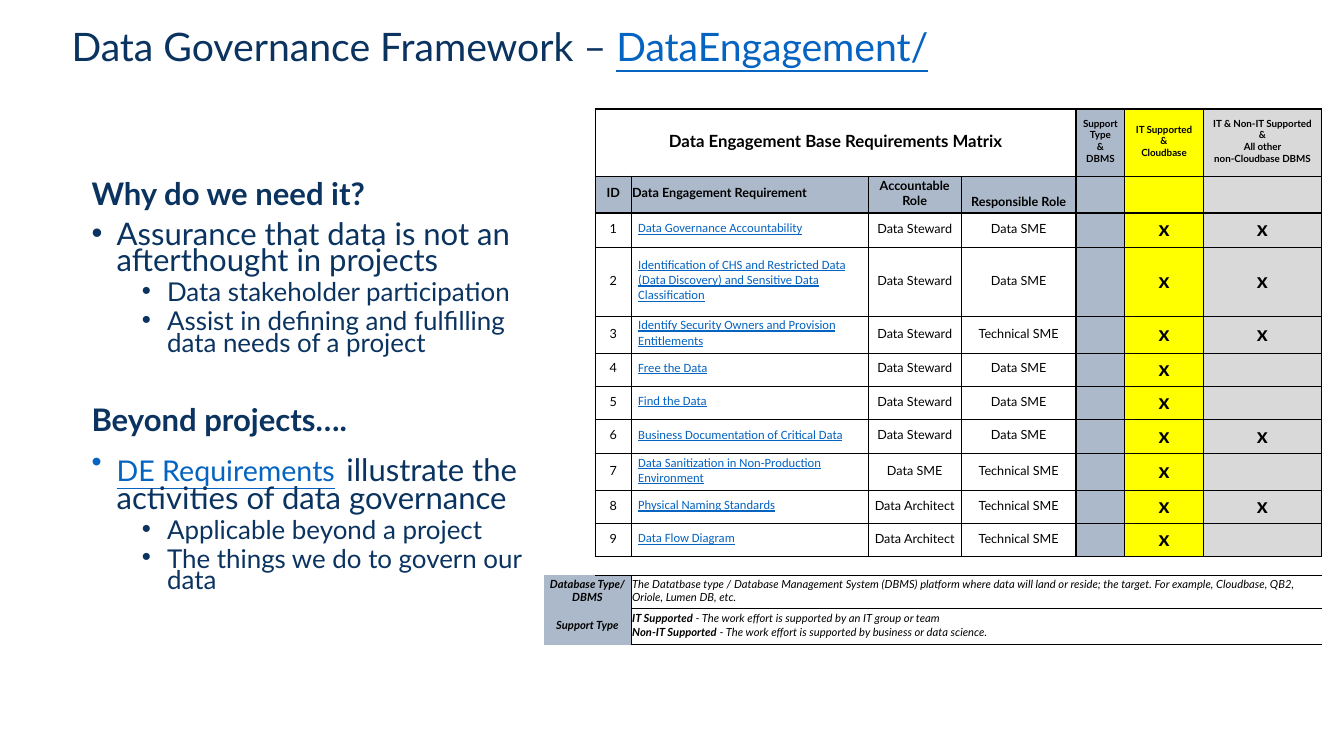
"""Build the Data Engagement slide of the data governance framework deck."""
from dataclasses import dataclass, field

from lxml import etree
from pptx import Presentation
from pptx.dml.color import RGBColor
from pptx.enum.text import MSO_ANCHOR, PP_ALIGN
from pptx.oxml.ns import qn
from pptx.util import Pt

LEFT, CENTER = PP_ALIGN.LEFT, PP_ALIGN.CENTER
MIDDLE, BOTTOM = MSO_ANCHOR.MIDDLE, MSO_ANCHOR.BOTTOM
NAVY, LINK, BLACK = "0A3360", "0563C1", "000000"
SLATE, YELLOW, GREY = "ACB9CA", "FFFF00", "D9D9D9"
NO_STYLE = "{2D5ABB26-0587-4C30-8999-92F81FD0307C}"
COLS = [36.8, 25.7, 169.3, 66.4, 82.1, 34.8, 56, 84.7]
ROWS = [48, 26.4, 24.5, 49.3, 26.2, 23.7, 23.7, 24.5, 26.3, 23.7, 23.7, 13.3, 23.7, 25.7]
LAST_REQUIREMENT, SPACER, ID_COL, SUPPORT_COL = 10, 11, 1, 5
COLUMN_FILLS = {5: SLATE, 6: YELLOW, 7: GREY}


@dataclass
class Run:
    text: str
    size: float
    color: str = BLACK
    name: str = "Lato"
    bold: bool = False
    italic: bool = False
    underline: bool = False


@dataclass
class Para:
    runs: list[Run]
    before: float = 0
    indent: float = 0
    spacing: float = 0.7


@dataclass
class Entry:
    row: int
    col: int
    runs: list[Run] = field(default_factory=list)
    align: PP_ALIGN = CENTER
    fill: str = ""
    span: int = 1
    anchor: MSO_ANCHOR = MIDDLE
    inset: float = 0.7


@dataclass
class Requirement:
    name: str
    accountable: str
    responsible: str
    non_it: bool


def rgb(color: str) -> RGBColor:
    return RGBColor.from_string(color)


def add_runs(p, runs: list[Run]) -> None:
    for run in runs:
        for i, line in enumerate(run.text.split("\n")):
            if i:
                p.add_line_break()
            r = p.add_run()
            r.text = line
            for key in ("size", "name", "bold", "italic", "underline"):
                value = getattr(run, key)
                setattr(r.font, key, Pt(value) if key == "size" else value)
            r.font.color.rgb = rgb(run.color)


def add_text(s, box: tuple[float, ...], paras: list[Para]) -> None:
    tf = s.shapes.add_textbox(*map(Pt, box)).text_frame
    tf.word_wrap = True
    tf.vertical_anchor = MIDDLE
    for i, para in enumerate(paras):
        p = tf.add_paragraph() if i else tf.paragraphs[0]
        p.line_spacing, p.space_before = para.spacing, Pt(para.before)
        if para.indent:
            pPr = p._p.get_or_add_pPr()
            pPr.set("marL", str(Pt(para.indent)))
            pPr.set("indent", str(Pt(-18)))
            etree.SubElement(pPr, qn("a:buFont")).set("typeface", "Arial")
            etree.SubElement(pPr, qn("a:buChar")).set("char", "•")
        add_runs(p, para.runs)


def borders(row: int, col: int) -> dict[str, float]:
    """Return the line width of each ruled side of a cell."""
    if row <= LAST_REQUIREMENT:
        if col < ID_COL:
            return {"R": 1}
        return {"L": 0.5 if col == 7 else 1, "R": 0.5 if col == 6 else 1,
                "T": 1 if row < 3 else 0.5,
                "B": 1 if row < 2 or row == LAST_REQUIREMENT else 0.5}
    if col > ID_COL:
        return {"T": 1, "B": 1} | ({"L": 1} if col == 2 and row > SPACER else {})
    if row == SPACER:
        return {"T": 1} if col == ID_COL else {}
    return {"R": 1} if col == ID_COL else {}


def set_borders(cell, widths: dict[str, float]) -> None:
    tcPr = cell._tc.get_or_add_tcPr()
    for side in "LRTB":
        if side in widths:
            ln = etree.SubElement(tcPr, qn(f"a:ln{side}"), w=str(Pt(widths[side])))
            fill = etree.SubElement(ln, qn("a:solidFill"))
            etree.SubElement(fill, qn("a:srgbClr"), val=BLACK)


def add_matrix(s, entries: list[Entry]) -> None:
    frame = s.shapes.add_table(len(ROWS), len(COLS), Pt(388.4), Pt(77.8), Pt(sum(COLS)), Pt(sum(ROWS)))
    table = frame.table
    table.first_row = table.horz_banding = False
    table._tbl.tblPr.find(qn("a:tableStyleId")).text = NO_STYLE
    for column, width in zip(table.columns, COLS):
        column.width = Pt(width)
    placed = {(e.row, e.col): e for e in entries}
    for row, height in enumerate(ROWS):
        table.rows[row].height = Pt(height)
        for col in range(len(COLS)):
            cell = table.cell(row, col)
            e = placed.get((row, col), Entry(row, col))
            margins = {"left": e.inset, "right": 0.7, "top": 0.7, "bottom": 2.9}
            for side, margin in margins.items():
                setattr(cell, f"margin_{side}", Pt(margin))
            cell.vertical_anchor = e.anchor
            set_borders(cell, borders(row, col))
            fill = e.fill or (COLUMN_FILLS.get(col, "") if row <= LAST_REQUIREMENT else "")
            if fill:
                cell.fill.solid()
                cell.fill.fore_color.rgb = rgb(fill)
            else:
                cell.fill.background()
            p = cell.text_frame.paragraphs[0]
            p.alignment = e.align
            add_runs(p, e.runs)
            if not e.runs:
                p._p.get_or_add_endParaRPr().set("sz", "700")
    for e in entries:
        if e.span > 1:
            table.cell(e.row, e.col).merge(table.cell(e.row, e.col + e.span - 1))


def matrix_entries(requirements: list[Requirement]) -> list[Entry]:
    entries = [Entry(0, 1, [Run("Data Engagement Base Requirements Matrix", 12, bold=True)], span=4)]
    supports = ["Support Type\n&\nDBMS", "IT Supported\n&\nCloudbase",
                "IT & Non-IT Supported\n&\nAll other\nnon-Cloudbase DBMS"]
    entries += [Entry(0, c, [Run(t, 7, bold=True)]) for c, t in enumerate(supports, SUPPORT_COL)]
    heads = ["ID", "Data Engagement Requirement", "Accountable Role", "Responsible Role"]
    entries += [Entry(1, c, [Run(t, 9, bold=True)], LEFT if c == 2 else CENTER, SLATE,
                      anchor=BOTTOM if c == 4 else MIDDLE) for c, t in enumerate(heads, ID_COL)]
    for number, req in enumerate(requirements, 1):
        row = number + 1
        link = Run(req.name, 9, LINK, "Calibri", underline=True)
        entries.append(Entry(row, 2, [link], LEFT, inset=5))
        for col, text in ((1, str(number)), (3, req.accountable), (4, req.responsible)):
            entries.append(Entry(row, col, [Run(text, 9)]))
        entries += [Entry(row, col, [Run("x", 15, bold=True)]) for col in ((6, 7) if req.non_it else (6,))]
    platform = ("The Datatbase type / Database Management System (DBMS) platform where data will land "
                "or reside; the target. For example, Cloudbase, QB2, Oriole, Lumen DB, etc.")
    support = [("IT Supported ", True), ("- The work effort is supported by an IT group or team\n", False),
               ("Non-IT Supported", True), (" - The work effort is supported by business or data science.", False)]
    notes = [("Database Type/ DBMS", [(platform, False)]), ("Support Type", support)]
    for row, (label, parts) in enumerate(notes, SPACER + 1):
        entries.append(Entry(row, 0, [Run(label, 8, bold=True, italic=True)], fill=SLATE, span=2))
        entries.append(Entry(row, 2, [Run(t, 8, bold=b, italic=True) for t, b in parts], LEFT, span=6))
    return entries


def main() -> None:
    prs = Presentation()
    prs.slide_width, prs.slide_height = Pt(960), Pt(540)
    s = prs.slides.add_slide(prs.slide_layouts[6])
    title = [Run("Data Governance Framework – ", 28, NAVY), Run("DataEngagement/", 28, LINK, underline=True)]
    add_text(s, (44, 13, 872.6, 43.2), [Para(title, spacing=0.9)])
    requirements_link = [Run("DE Requirements", 20.4, LINK, underline=True), Run(" ", 32.4, NAVY),
                         Run("illustrate the activities of data governance", 22.2, NAVY)]
    add_text(s, (58.3, 95, 321.8, 366.5), [
        Para([Run("Why do we need it?", 22.2, NAVY, bold=True)]),
        Para([Run("Assurance that data is not an afterthought in projects", 22.2, NAVY)], 10, 18),
        Para([Run("Data stakeholder participation", 18.5, NAVY)], 5, 54),
        Para([Run("Assist in defining and fulfilling data needs of a project", 18.5, NAVY)], 5, 54),
        Para([Run("Beyond projects….", 22.2, NAVY, bold=True)], 38.7),
        Para(requirements_link, 10, 18),
        Para([Run("Applicable beyond a project", 18.5, NAVY)], 5, 54),
        Para([Run("The things we do to govern our data", 18.5, NAVY)], 5, 54)])
    steward, architect, sme, tech = "Data Steward", "Data Architect", "Data SME", "Technical SME"
    add_matrix(s, matrix_entries([
        Requirement("Data Governance Accountability", steward, sme, True),
        Requirement("Identification of CHS and Restricted Data (Data Discovery) and Sensitive Data "
                    "Classification", steward, sme, True),
        Requirement("Identify Security Owners and Provision Entitlements", steward, tech, True),
        Requirement("Free the Data", steward, sme, False),
        Requirement("Find the Data", steward, sme, False),
        Requirement("Business Documentation of Critical Data", steward, sme, True),
        Requirement("Data Sanitization in Non-Production Environment", sme, tech, False),
        Requirement("Physical Naming Standards", architect, tech, True),
        Requirement("Data Flow Diagram", architect, tech, False)]))
    prs.save("out.pptx")


if __name__ == "__main__":
    main()
